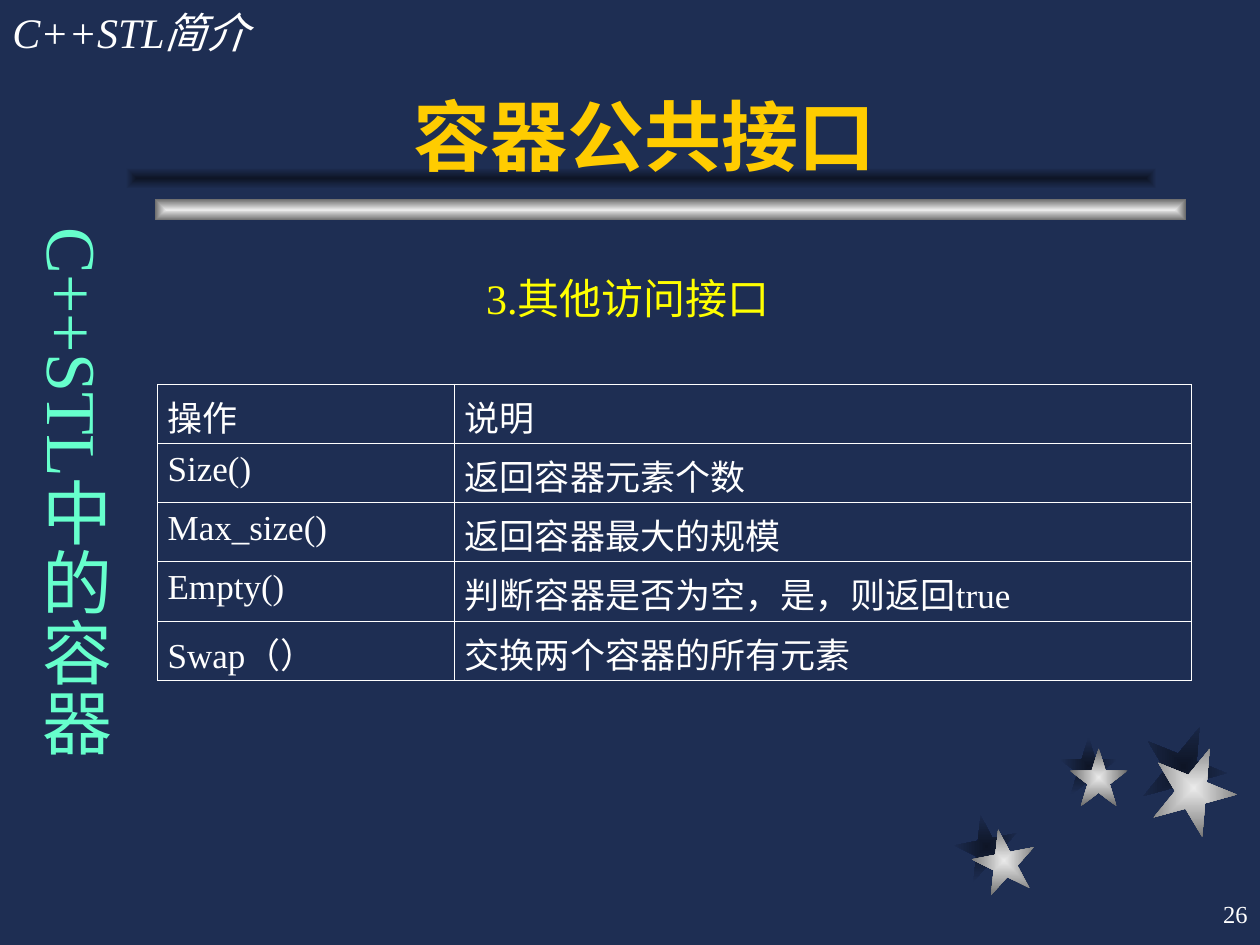
from dataclasses import dataclass

from lxml import etree
from pptx import Presentation
from pptx.dml.color import RGBColor
from pptx.enum.shapes import MSO_SHAPE
from pptx.enum.text import MSO_ANCHOR, MSO_AUTO_SIZE, PP_ALIGN
from pptx.oxml.ns import qn
from pptx.util import Pt

STAR = MSO_SHAPE.STAR_5_POINT
BAR = MSO_SHAPE.RECTANGLE
LEFT, CENTER, RIGHT, JUSTIFY = PP_ALIGN.LEFT, PP_ALIGN.CENTER, PP_ALIGN.RIGHT, PP_ALIGN.JUSTIFY
TOP, MIDDLE, BOTTOM = MSO_ANCHOR.TOP, MSO_ANCHOR.MIDDLE, MSO_ANCHOR.BOTTOM
NO_FIT, GROW = MSO_AUTO_SIZE.NONE, MSO_AUTO_SIZE.SHAPE_TO_FIT_TEXT
TITLE_ONLY = 5


@dataclass(frozen=True)
class Theme:
    background: str = "1E2E53"
    shade: str = "0E1526"
    silver: str = "EAEAEA"
    steel: str = "6C6C6C"
    white: str = "FFFFFF"
    gold: str = "FFCC00"
    yellow: str = "FFFF00"
    mint: str = "66FFCC"
    serif: str = "Times New Roman"
    sans: str = "Arial"
    title_size: float = 44
    side_size: float = 40
    heading_size: float = 24
    table_size: float = 20
    number_size: float = 14
    border: float = 0.45


@dataclass(frozen=True)
class Box:
    left: float
    top: float
    width: float
    height: float

    def lengths(self) -> tuple:
        return Pt(self.left), Pt(self.top), Pt(self.width), Pt(self.height)


@dataclass(frozen=True)
class Ornament:
    preset: MSO_SHAPE
    box: Box
    inner: str
    outer: str
    rotation: float = 0


@dataclass(frozen=True)
class Style:
    size: float
    color: str
    font: str
    align: PP_ALIGN = LEFT
    bold: bool = False
    italic: bool = False


@dataclass(frozen=True)
class Label:
    text: str
    box: Box
    style: Style
    anchor: MSO_ANCHOR = TOP
    fit: MSO_AUTO_SIZE = GROW
    wrap: bool = True
    space_before: float = 0


THEME = Theme()
SHADE = (THEME.shade, THEME.background)
METAL = (THEME.silver, THEME.steel)

ORNAMENTS = [
    Ornament(STAR, Box(545.8, 465.8, 36, 36), *SHADE, rotation=-11),
    Ornament(STAR, Box(605.5, 421.2, 33.1, 33.1), *SHADE),
    Ornament(STAR, Box(652.3, 414, 48.2, 48.2), *SHADE, rotation=22),
    Ornament(STAR, Box(555.8, 473.8, 36, 36), *METAL, rotation=-11),
    Ornament(STAR, Box(611.3, 427.7, 33.1, 33.1), *METAL),
    Ornament(STAR, Box(658.1, 426.2, 48.2, 48.2), *METAL, rotation=22),
    Ornament(BAR, Box(88.6, 113.8, 589, 12.2), *METAL),
    Ornament(BAR, Box(72, 95.8, 589, 12.2), *SHADE),
]

TITLE = Label("容器公共接口", Box(28.1, 23, 680.4, 84.2),
              Style(THEME.title_size, THEME.gold, THEME.sans, CENTER, bold=True),
              anchor=BOTTOM, fit=NO_FIT)
COURSE = Label("C++STL简介", Box(0, 0, 221.8, 36),
               Style(THEME.heading_size, THEME.white, THEME.serif, italic=True),
               space_before=15)
PAGE = Label("26", Box(570.2, 504, 149.8, 36),
             Style(THEME.number_size, THEME.white, THEME.serif, RIGHT),
             anchor=MIDDLE, fit=NO_FIT, wrap=False)
SECTION = Label("3.其他访问接口", Box(270.7, 151.9, 182.2, 36),
                Style(THEME.heading_size, THEME.yellow, THEME.serif), wrap=False)
CHAPTER = Label(" C++STL中的容器", Box(8.6, 49, 76.3, 483.8),
                Style(THEME.side_size, THEME.mint, THEME.serif))

OPERATIONS = [
    ("操作", "说明"),
    ("Size()", "返回容器元素个数"),
    ("Max_size()", "返回容器最大的规模"),
    ("Empty()", "判断容器是否为空，是，则返回true"),
    ("Swap（）", "交换两个容器的所有元素"),
]
TABLE_BOX = Box(90, 219.6, 591, 169.2)
OPERATION_WIDTH = 169.9
TABLE_STYLE = Style(THEME.table_size, THEME.white, THEME.serif, JUSTIFY)


def rgb(color: str) -> RGBColor:
    return RGBColor.from_string(color)


def write(frame, text: str, style: Style):
    paragraph = frame.paragraphs[0]
    paragraph.alignment = style.align
    run = paragraph.add_run()
    run.text = text
    font = run.font
    font.name, font.size = style.font, Pt(style.size)
    font.bold, font.italic = style.bold, style.italic
    font.color.rgb = rgb(style.color)
    return paragraph


def fill_label(shape, label: Label):
    frame = shape.text_frame
    frame.word_wrap = label.wrap
    frame.auto_size = label.fit
    frame.vertical_anchor = label.anchor
    paragraph = write(frame, label.text, label.style)
    paragraph.space_before = Pt(label.space_before)
    return paragraph


def add_label(slide, label: Label):
    shape = slide.shapes.add_textbox(*label.box.lengths())
    fill_label(shape, label)
    return shape


def add_ornament(slide, ornament: Ornament) -> None:
    shape = slide.shapes.add_shape(ornament.preset, *ornament.box.lengths())
    shape.rotation = ornament.rotation
    shape.shadow.inherit = False
    shape.line.fill.background()
    shape.fill.gradient()
    for stop, color in zip(shape.fill.gradient_stops, (ornament.inner, ornament.outer)):
        stop.color.rgb = rgb(color)
    linear = shape.element.spPr.find(qn("a:gradFill")).find(qn("a:lin"))
    radial = etree.Element(qn("a:path"), {"path": "rect"})
    etree.SubElement(radial, qn("a:fillToRect"), dict.fromkeys("ltrb", "50000"))
    linear.getparent().replace(linear, radial)


def add_title(slide, label: Label) -> None:
    title = slide.shapes.title
    title.left, title.top, title.width, title.height = label.box.lengths()
    fill_label(title, label)
    title.element.getparent().append(title.element)


def add_chapter(slide, label: Label) -> None:
    shape = add_label(slide, label)
    frame = shape.text_frame
    frame.margin_left = frame.margin_right = Pt(3.6)
    frame.margin_top = frame.margin_bottom = Pt(7.2)
    shape.element.txBody.find(qn("a:bodyPr")).set("vert", "eaVert")
    paragraph = frame.paragraphs[0]
    paragraph.line_spacing = 1.3
    properties = paragraph.runs[0].font
    properties.size = Pt(label.style.size)
    shape.element.txBody.find(qn("a:p")).get_or_add_pPr().set("marL", str(Pt(64)))


def draw_borders(cell) -> None:
    properties = cell.fill._xPr
    for position, side in enumerate(("lnL", "lnR", "lnT", "lnB")):
        line = etree.Element(qn(f"a:{side}"), {"w": str(Pt(THEME.border))})
        solid = etree.SubElement(line, qn("a:solidFill"))
        etree.SubElement(solid, qn("a:srgbClr"), {"val": THEME.white})
        properties.insert(position, line)


def add_operations(slide, box: Box) -> None:
    table = slide.shapes.add_table(len(OPERATIONS), 2, *box.lengths()).table
    table.first_row = table.horz_banding = False
    for column, width in zip(table.columns, (OPERATION_WIDTH, box.width - OPERATION_WIDTH)):
        column.width = Pt(width)
    for row, texts in enumerate(OPERATIONS):
        table.rows[row].height = Pt(box.height / len(OPERATIONS))
        for column, text in enumerate(texts):
            cell = table.cell(row, column)
            cell.margin_left = cell.margin_right = Pt(5.8)
            cell.margin_top = cell.margin_bottom = Pt(3.6)
            cell.fill.background()
            draw_borders(cell)
            write(cell.text_frame, text, TABLE_STYLE)


def main() -> None:
    deck = Presentation()
    deck.slide_width, deck.slide_height = Pt(720), Pt(540)
    slide = deck.slides.add_slide(deck.slide_layouts[TITLE_ONLY])
    slide.background.fill.solid()
    slide.background.fill.fore_color.rgb = rgb(THEME.background)
    for ornament in ORNAMENTS:
        add_ornament(slide, ornament)
    add_label(slide, COURSE)
    add_label(slide, PAGE)
    add_title(slide, TITLE)
    add_label(slide, SECTION)
    add_operations(slide, TABLE_BOX)
    add_chapter(slide, CHAPTER)
    deck.save("out.pptx")


if __name__ == "__main__":
    main()
